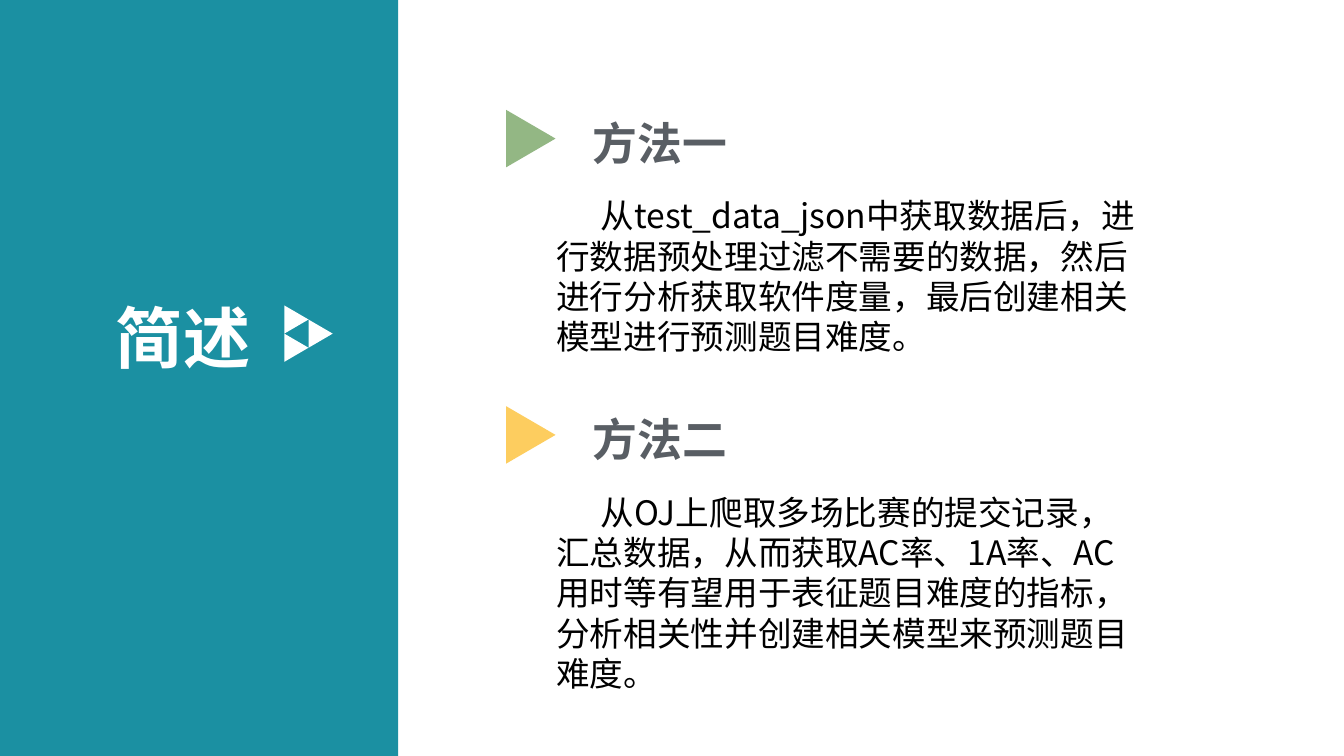
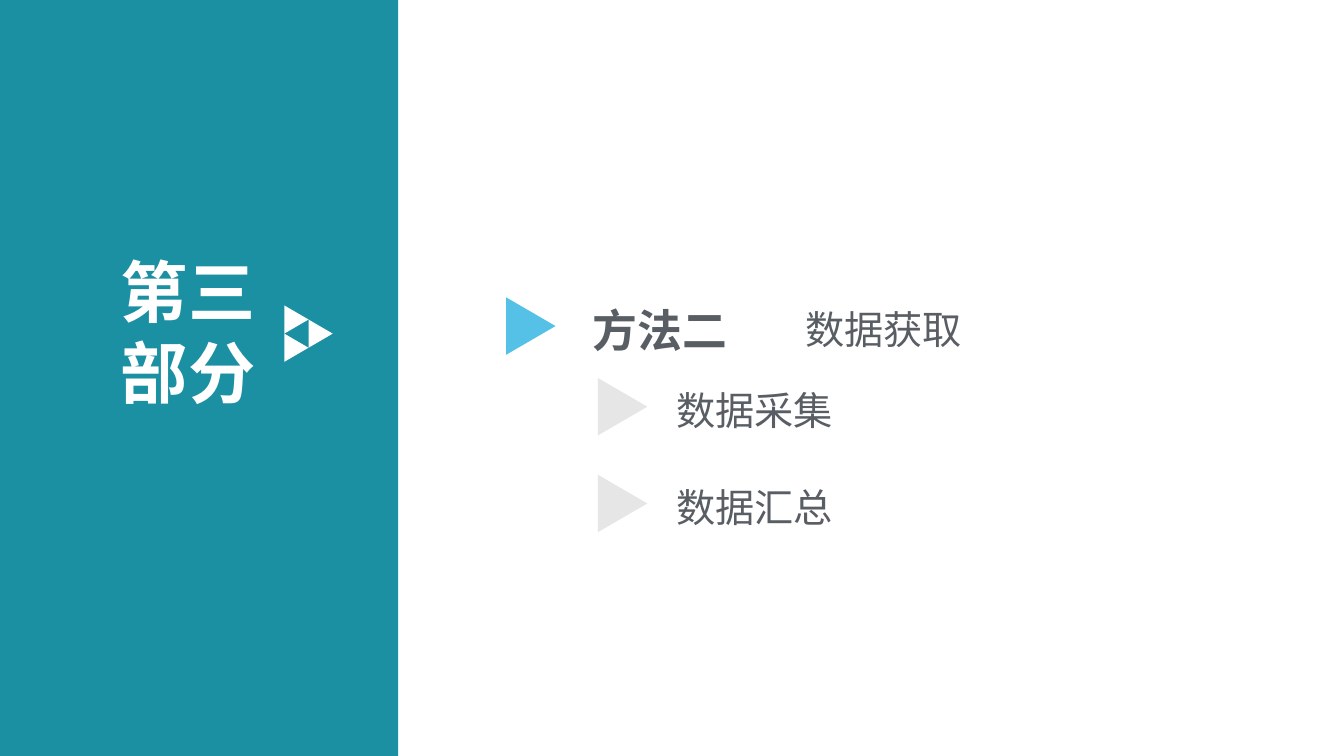
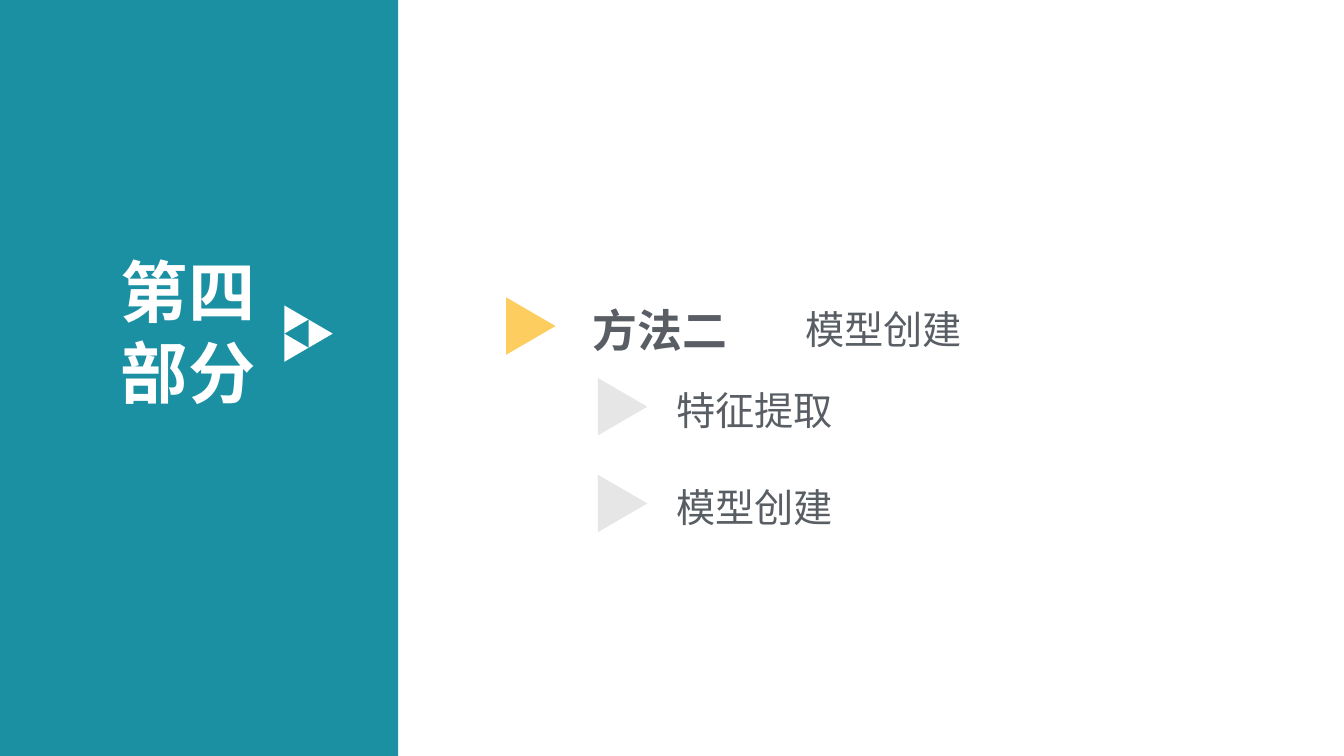
from lxml import etree
from pptx import Presentation
from pptx.dml.color import RGBColor
from pptx.enum.shapes import MSO_SHAPE
from pptx.enum.text import MSO_ANCHOR, MSO_AUTO_SIZE, PP_ALIGN
from pptx.oxml.ns import qn
from pptx.util import Inches, Pt

RECTANGLE, TRIANGLE = MSO_SHAPE.RECTANGLE, MSO_SHAPE.ISOSCELES_TRIANGLE
TOP, LEFT, FIXED = MSO_ANCHOR.TOP, PP_ALIGN.LEFT, MSO_AUTO_SIZE.NONE

FONT = "Noto Sans CJK SC"
COLORS = {
    "teal": "1B90A2", "white": "FFFFFF", "black": "000000", "gray": "595E64",
    "pale": "E7E6E6", "green": "93B784", "yellow": "FDCD5F", "blue": "55C1E7",
}
LINE_PITCH = 1.2       # line height, in ems
BASELINE_DROP = 0.08   # extra room above the first line, in ems

OVERVIEW_TITLE = "简述"
METHODS = [
    ("方法一", "green", 1.13, 1.72,
     "从test_data_json中获取数据后，进行数据预处理过滤不需要的数据，"
     "然后进行分析获取软件度量，最后创建相关模型进行预测题目难度。"),
    ("方法二", "yellow", 4.07, 2.12,
     "从OJ上爬取多场比赛的提交记录，汇总数据，从而获取AC率、1A率、"
     "AC用时等有望用于表征题目难度的指标，分析相关性并创建相关模型来预测题目难度。"),
]
SECTIONS = [
    ("第三部分", "方法二", "blue", "数据获取", ["数据采集", "数据汇总"]),
    ("第四部分", "方法二", "yellow", "模型创建", ["特征提取", "模型创建"]),
]


def write(box, text, size, color, bold=False, indent=0):
    frame = box.text_frame
    frame.text = text
    frame.word_wrap = True
    frame.auto_size = FIXED
    frame.vertical_anchor = TOP
    frame.margin_left = frame.margin_right = Inches(0.1)
    frame.margin_top = Inches(0.05) + Pt(size * BASELINE_DROP)
    frame.margin_bottom = Inches(0.05)
    para = frame.paragraphs[0]
    para.alignment = LEFT
    para.line_spacing = Pt(size * LINE_PITCH)
    font = para.font
    font.name, font.size, font.bold = FONT, Pt(size), bold
    font.color.rgb = RGBColor.from_string(COLORS[color])
    properties = para._p.get_or_add_pPr()
    properties.set("indent", str(Inches(indent)))
    east_asian = etree.SubElement(properties.find(qn("a:defRPr")), qn("a:ea"))
    east_asian.set("typeface", FONT)


def add_text(page, place, *style, **options):
    box = page.shapes.add_textbox(*map(Inches, place))
    write(box, *style, **options)


def add_solid(page, kind, place, color):
    shape = page.shapes.add_shape(kind, *map(Inches, place))
    shape.shadow.inherit = False
    shape.fill.solid()
    shape.fill.fore_color.rgb = RGBColor.from_string(COLORS[color])
    shape.line.fill.background()
    return shape


def add_pointer(page, left, top, color, width=0.57, height=0.49):
    """Triangle turned to point right; the place is the one before turning."""
    add_solid(page, TRIANGLE, (left, top, width, height), color).rotation = 90


def add_page(deck, title_text, title_place):
    """Page with the side band, its title and the three small pointers."""
    page = deck.slides.add_slide(deck.slide_layouts[5])
    band = add_solid(page, RECTANGLE, (0, 0, 3.95, 7.5), "teal")
    title = page.shapes.title
    band.element.addnext(title.element)
    title.left, title.top, title.width, title.height = map(Inches, title_place)
    write(title, title_text, 48, "white", bold=True)
    for column, row in [(0, 0), (0, 2), (1, 1)]:
        add_pointer(page, 2.8 + 0.24 * column, 3.05 + 0.14 * row, "white", 0.28, 0.24)
    return page


def add_heading(page, text, color, top):
    add_pointer(page, 4.98, top, color)
    add_text(page, (5.78, top - 0.07, 2.11, 0.64), text, 32, "gray", bold=True)


def add_overview(deck):
    page = add_page(deck, OVERVIEW_TITLE, (1.05, 2.84, 1.74, 0.91))
    for name, color, top, height, description in METHODS:
        add_heading(page, name, color, top)
        add_text(page, (5.42, top + 0.73, 5.95, height), description, 24, "black", indent=0.44)


def add_section(deck, title, method, color, topic, steps):
    page = add_page(deck, title, (1.1, 2.38, 1.74, 1.72))
    add_heading(page, method, color, 2.99)
    add_text(page, (7.89, 2.95, 4, 0.57), topic, 28, "gray")
    for number, step in enumerate(steps):
        top = 3.79 + 0.96 * number
        add_pointer(page, 5.89, top, "pale")
        add_text(page, (6.61, top - 0.04, 4, 0.57), step, 28, "gray")


def main():
    deck = Presentation()
    deck.slide_width, deck.slide_height = Inches(13.33), Inches(7.5)
    add_overview(deck)
    for section in SECTIONS:
        add_section(deck, *section)
    deck.save("out.pptx")


if __name__ == "__main__":
    main()
